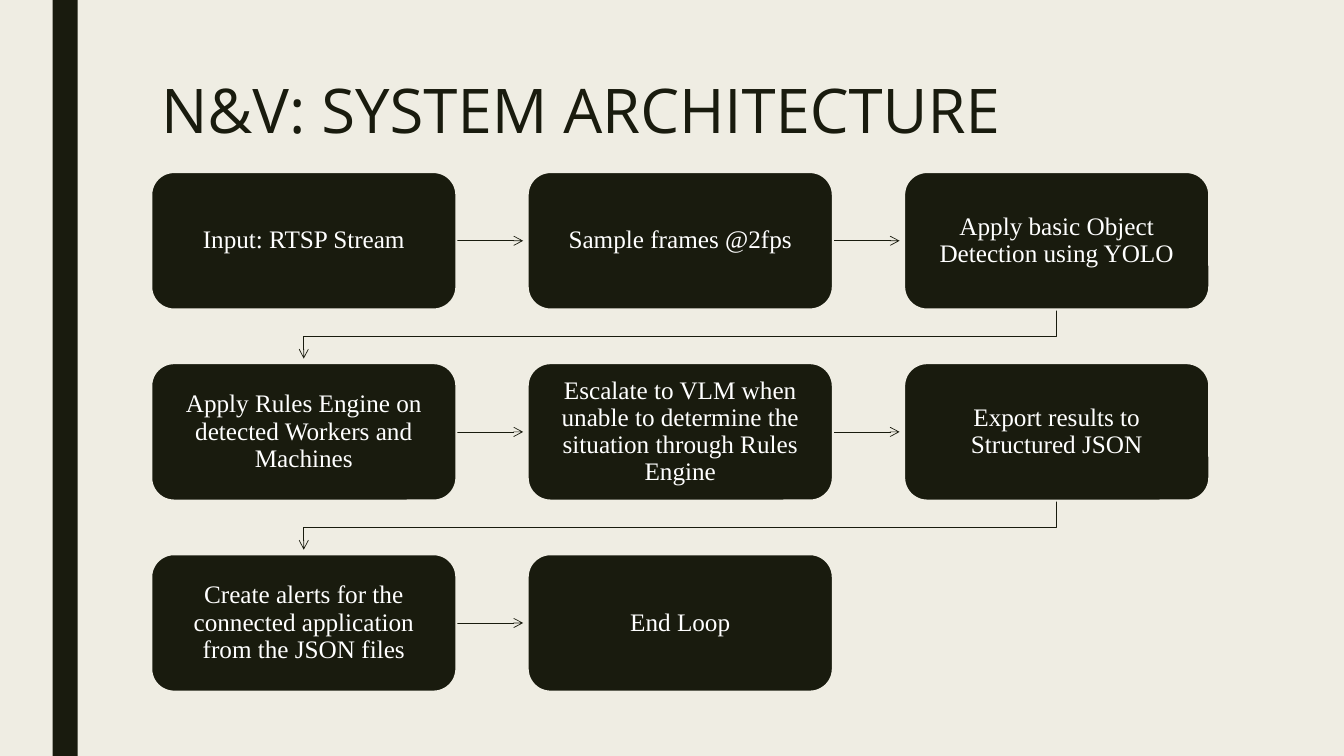
from dataclasses import dataclass

from lxml.etree import SubElement
from pptx import Presentation
from pptx.dml.color import RGBColor
from pptx.enum.shapes import MSO_CONNECTOR, MSO_SHAPE
from pptx.enum.text import MSO_ANCHOR, PP_ALIGN
from pptx.oxml.ns import qn
from pptx.shapes.base import BaseShape
from pptx.slide import Slide
from pptx.text.text import TextFrame
from pptx.util import Pt

DARK = RGBColor(0x19, 0x1B, 0x0E)
CREAM = RGBColor(0xEF, 0xED, 0xE3)
WHITE = RGBColor(0xFF, 0xFF, 0xFF)

SLIDE_WIDTH, SLIDE_HEIGHT = 960, 540
COLUMNS = 3
GRID_LEFT, GRID_TOP = 108, 122.9
STEP_WIDTH, STEP_HEIGHT = 218, 98.2
COLUMN_PITCH, ROW_PITCH = 268.9, 136.5
ARROW_CLEARANCE = 3.2

STEP_TEXTS = [
    "Input: RTSP Stream",
    "Sample frames @2fps",
    "Apply basic Object Detection using YOLO",
    "Apply Rules Engine on detected Workers and Machines",
    "Escalate to VLM when unable to determine the situation through Rules Engine",
    "Export results to Structured JSON",
    "Create alerts for the connected application from the JSON files",
    "End Loop",
]


@dataclass(frozen=True)
class Step:
    text: str
    row: int
    column: int

    @property
    def left(self) -> float:
        return GRID_LEFT + self.column * COLUMN_PITCH

    @property
    def top(self) -> float:
        return GRID_TOP + self.row * ROW_PITCH

    @property
    def right(self) -> float:
        return self.left + STEP_WIDTH

    @property
    def bottom(self) -> float:
        return self.top + STEP_HEIGHT

    @property
    def center(self) -> float:
        return self.left + STEP_WIDTH / 2

    @property
    def middle(self) -> float:
        return self.top + STEP_HEIGHT / 2


def write_text(
    text_frame: TextFrame,
    text: str,
    *,
    font: str,
    size: float,
    color: RGBColor,
    alignment: PP_ALIGN,
    anchor: MSO_ANCHOR,
    line_spacing: float,
) -> None:
    text_frame.word_wrap = True
    text_frame.vertical_anchor = anchor
    paragraph = text_frame.paragraphs[0]
    paragraph.alignment = alignment
    paragraph.line_spacing = line_spacing
    run = paragraph.add_run()
    run.text = text
    run.font.name = font
    run.font.size = Pt(size)
    run.font.color.rgb = color


def style_arrow(shape: BaseShape) -> None:
    shape.line.color.rgb = DARK
    shape.line.width = Pt(0.5)
    properties = shape.element.spPr
    SubElement(properties.find(qn("a:ln")), qn("a:tailEnd"), type="arrow")
    if properties.find(qn("a:effectLst")) is None:
        SubElement(properties, qn("a:effectLst"))


def draw_straight_arrow(slide: Slide, source: Step, target: Step) -> None:
    connector = slide.shapes.add_connector(
        MSO_CONNECTOR.STRAIGHT,
        Pt(source.right),
        Pt(source.middle),
        Pt(target.left - ARROW_CLEARANCE),
        Pt(target.middle),
    )
    style_arrow(connector)


def draw_return_arrow(slide: Slide, source: Step, target: Step) -> None:
    turn = (source.bottom + target.top) / 2
    builder = slide.shapes.build_freeform(Pt(source.center), Pt(source.bottom))
    corners = [
        (source.center, turn),
        (target.center, turn),
        (target.center, target.top - ARROW_CLEARANCE),
    ]
    builder.add_line_segments([(Pt(x), Pt(y)) for x, y in corners], close=False)
    shape = builder.convert_to_shape()
    shape.fill.background()
    shape.shadow.inherit = False
    style_arrow(shape)


def draw_step(slide: Slide, step: Step) -> None:
    shape = slide.shapes.add_shape(
        MSO_SHAPE.ROUNDED_RECTANGLE,
        Pt(step.left), Pt(step.top), Pt(STEP_WIDTH), Pt(STEP_HEIGHT),
    )
    shape.shadow.inherit = False
    shape.fill.solid()
    shape.fill.fore_color.rgb = DARK
    shape.line.color.rgb = CREAM
    shape.line.width = Pt(1.5)
    text_frame = shape.text_frame
    text_frame.margin_left = text_frame.margin_right = Pt(8.64)
    text_frame.margin_top = text_frame.margin_bottom = Pt(8.64)
    write_text(
        text_frame, step.text, font="Times New Roman", size=18, color=WHITE,
        alignment=PP_ALIGN.CENTER, anchor=MSO_ANCHOR.MIDDLE, line_spacing=0.9,
    )


def draw_side_bar(slide: Slide) -> None:
    bar = slide.shapes.add_shape(
        MSO_SHAPE.RECTANGLE, Pt(37.5), Pt(0), Pt(18), Pt(SLIDE_HEIGHT)
    )
    bar.shadow.inherit = False
    bar.fill.solid()
    bar.fill.fore_color.rgb = DARK
    bar.line.fill.background()


def draw_title(slide: Slide) -> None:
    title = slide.shapes.add_textbox(Pt(108), Pt(54), Pt(756), Pt(117))
    write_text(
        title.text_frame, "N&V: SYSTEM ARCHITECTURE", font="Open Sans", size=44,
        color=DARK, alignment=PP_ALIGN.LEFT, anchor=MSO_ANCHOR.TOP, line_spacing=0.89,
    )


def main() -> None:
    presentation = Presentation()
    presentation.slide_width = Pt(SLIDE_WIDTH)
    presentation.slide_height = Pt(SLIDE_HEIGHT)
    slide = presentation.slides.add_slide(presentation.slide_layouts[6])
    slide.background.fill.solid()
    slide.background.fill.fore_color.rgb = CREAM

    draw_side_bar(slide)
    draw_title(slide)

    steps = [
        Step(text, *divmod(index, COLUMNS)) for index, text in enumerate(STEP_TEXTS)
    ]
    for source, target in zip(steps, steps[1:]):
        if source.row == target.row:
            draw_straight_arrow(slide, source, target)
        else:
            draw_return_arrow(slide, source, target)
    for step in steps:
        draw_step(slide, step)

    presentation.save("out.pptx")


if __name__ == "__main__":
    main()
